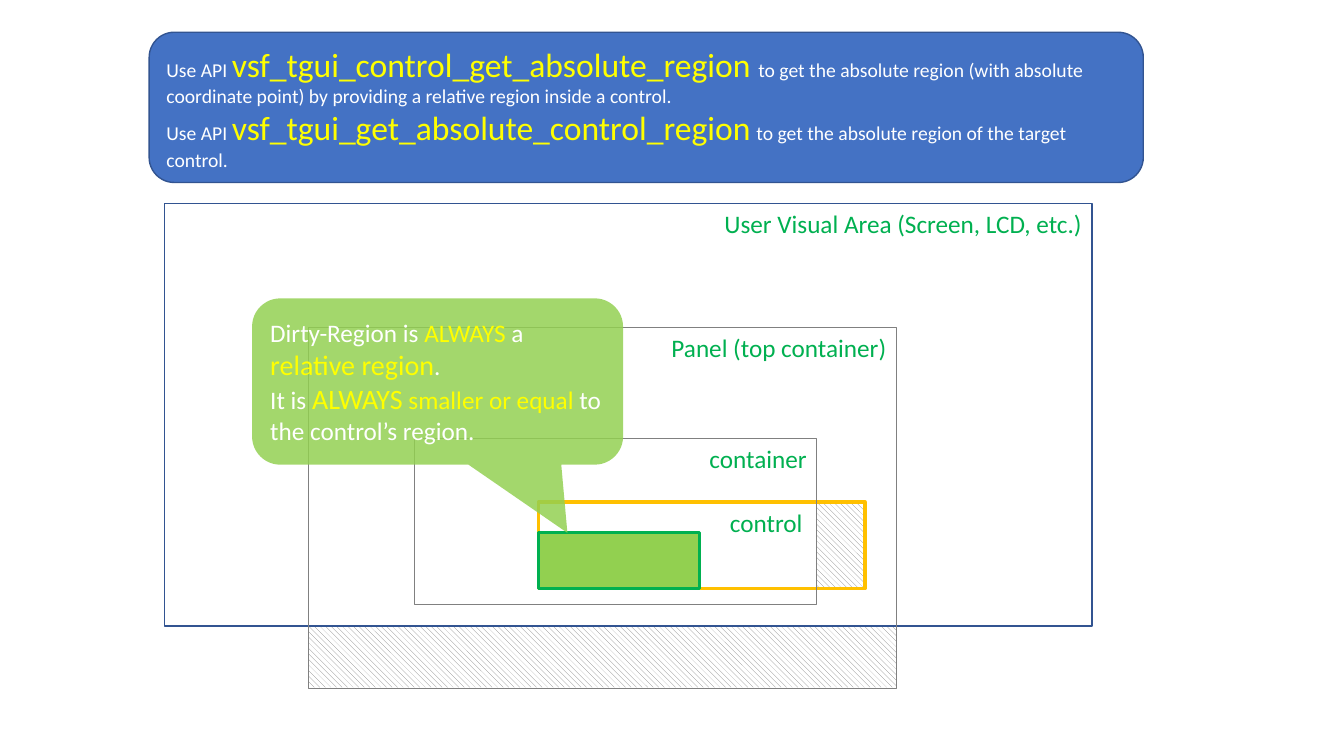
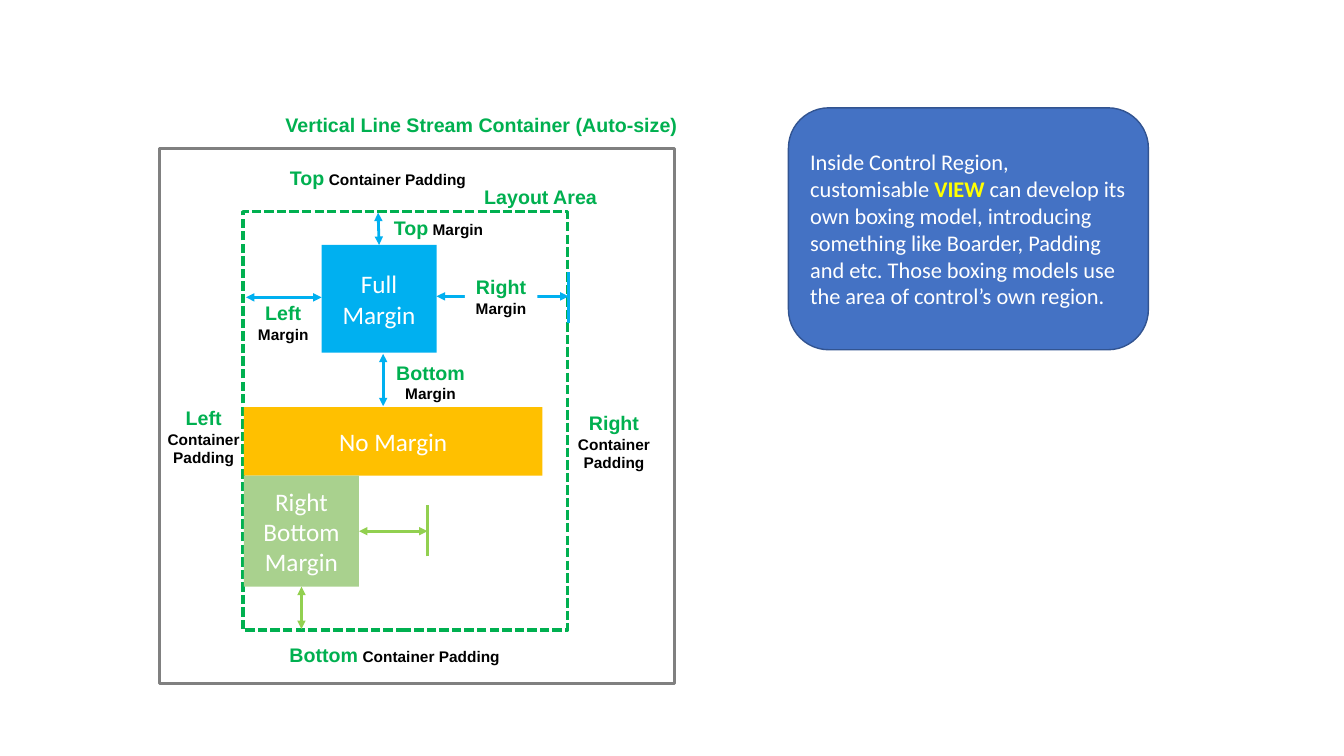
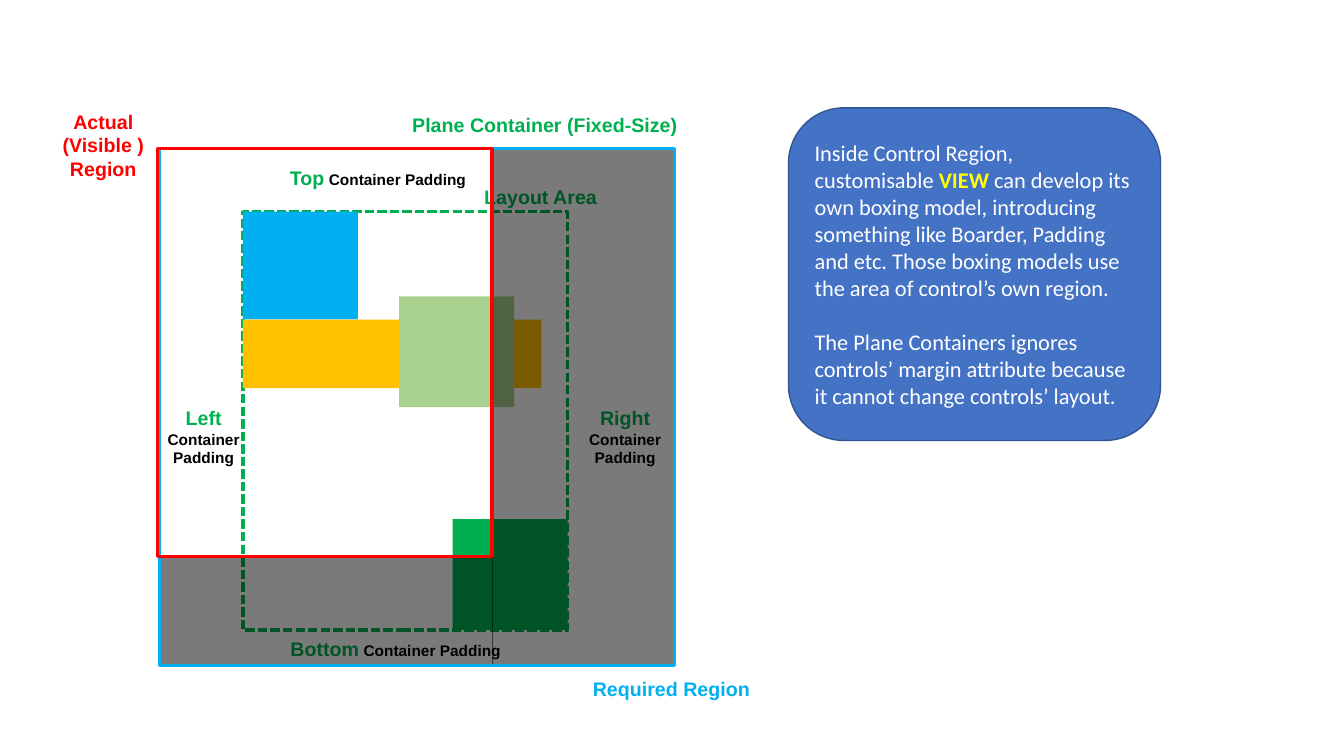
"""Build three slides on control regions, container padding and margins."""
from lxml.etree import SubElement
from pptx import Presentation
from pptx.dml.color import RGBColor
from pptx.enum.dml import MSO_LINE, MSO_PATTERN
from pptx.enum.shapes import MSO_CONNECTOR, MSO_SHAPE
from pptx.enum.text import MSO_ANCHOR, MSO_AUTO_SIZE, PP_ALIGN
from pptx.oxml.ns import qn
from pptx.util import Inches, Pt

WHITE = RGBColor(0xFF, 0xFF, 0xFF)
BLACK = RGBColor(0x00, 0x00, 0x00)
GRAY = RGBColor(0x80, 0x80, 0x80)
GREEN = RGBColor(0x00, 0xB0, 0x50)
LIME = RGBColor(0x92, 0xD0, 0x50)
SAGE = RGBColor(0xA9, 0xD1, 0x8E)
SKY = RGBColor(0x00, 0xB0, 0xF0)
GOLD = RGBColor(0xFF, 0xC0, 0x00)
YELLOW = RGBColor(0xFF, 0xFF, 0x00)
RED = RGBColor(0xFF, 0x00, 0x00)
BLUE = RGBColor(0x44, 0x72, 0xC4)
NAVY = RGBColor(0x32, 0x54, 0x91)
BODY_FONT, LABEL_FONT = "Calibri", "Arial"
LEFT, CENTER, RIGHT = PP_ALIGN.LEFT, PP_ALIGN.CENTER, PP_ALIGN.RIGHT

API_NOTE = [
    [("Use API ", 14, WHITE), ("vsf_tgui_control_get_absolute_region ", 24, YELLOW),
     ("to get the absolute region (with absolute coordinate point) by providing "
      "a relative region inside a control.", 14, WHITE)],
    [("Use API ", 14, WHITE), ("vsf_tgui_get_absolute_control_region", 24, YELLOW),
     (" ", 18, WHITE),
     ("to get the absolute region of the target control.", 14, WHITE)],
]
DIRTY_NOTE = [
    [("Dirty-Region is ", 18, WHITE), ("ALWAYS", 18, YELLOW), (" a ", 18, WHITE),
     ("relative region", 20, YELLOW), (".", 18, WHITE)],
    [("It is ", 18, WHITE), ("ALWAYS", 20, YELLOW), (" ", 18, WHITE),
     ("smaller or equal ", 18, YELLOW), ("to the control’s region.", 18, WHITE)],
]
VIEW_NOTE = [
    [("Inside Control Region, customisable ", 16, WHITE), ("VIEW", 16, YELLOW, True),
     (" can develop its own boxing model, introducing something like Boarder, "
      "Padding and etc. Those boxing models use the area of control’s own region.",
      16, WHITE)],
]
PLANE_NOTE = [
    [("The Plane Containers ignores controls’ margin attribute because it cannot "
      "change controls’ layout.", 16, WHITE)],
]

CLIPPED_AREAS = [(8.1, 4.98, 0.48, 0.86), (3.06, 6.21, 5.83, 0.61)]
REGIONS = [
    ("User Visual Area (Screen, LCD, etc.)", (1.63, 2.02, 9.2, 4.19), NAVY, 1, 0.1),
    ("control", (5.34, 4.98, 3.24, 0.86), GOLD, 2.25, 0.62),
    ("Panel (top container)", (3.06, 3.25, 5.83, 3.58), GRAY, 1, 0.1),
    ("container", (4.11, 4.35, 3.99, 1.65), GRAY, 1, 0.1),
]
LAYOUT_AREA = (2.41, 2.1, 3.22, 4.15)
PADDING = " Container Padding"
SHARED_LABELS = [
    ("Top", PADDING, (2.72, 1.6, 2.06, 0.34)),
    ("Left", PADDING, (1.56, 3.98, 0.92, 0.71)),
]
MARGIN_LABELS = [
    ("Top", " Margin", (3.78, 2.09, 1.14, 0.34)),
    ("Bottom", " Margin", (3.7, 3.53, 1.14, 0.52)),
    ("Left", " Margin", (2.43, 2.94, 0.76, 0.52)),
]
STREAM_CONTROLS = [
    ("Full Margin", (3.19, 2.43, 1.14, 1.07), SKY),
    ("No Margin", (2.42, 4.04, 2.96, 0.68), GOLD),
    ("Right Bottom Margin", (2.42, 4.72, 1.14, 1.1), SAGE),
]
MARGIN_ARROWS = [
    ((2.44, 2.95), (3.19, 2.95), SKY),
    ((4.33, 2.94), (5.64, 2.94), SKY),
    ((3.75, 2.11), (3.76, 2.43), SKY),
    ((3.8, 3.51), (3.8, 4.03), SKY),
    ((3.56, 5.27), (4.24, 5.27), LIME),
    ((2.99, 5.82), (2.99, 6.24), LIME),
]
MARGIN_STOPS = [((5.64, 3.2), (5.64, 2.7), SKY), ((4.24, 5.52), (4.24, 5.01), LIME)]
PLANE_CONTROLS = [
    ((2.41, 2.1, 1.14, 1.07), SKY),
    ((2.41, 3.17, 2.96, 0.68), GOLD),
    ((3.96, 2.94, 1.14, 1.1), SAGE),
    ((4.49, 5.15, 1.14, 1.1), GREEN),
]
HIDDEN_AREAS = [(4.88, 1.48, 1.81, 5.12), (1.57, 5.53, 3.32, 1.06)]


def write(box, paragraphs, font=BODY_FONT, align=LEFT, anchor=MSO_ANCHOR.TOP, gap=0):
    """Fill a shape with paragraphs made of (text, size, colour, bold) spans."""
    frame = box.text_frame
    frame.word_wrap = True
    frame.vertical_anchor = anchor
    for index, spans in enumerate(paragraphs):
        para = frame.add_paragraph() if index else frame.paragraphs[0]
        para.alignment = align
        if index and gap:
            para.space_before = Pt(gap)
        for text, size, color, *bold in spans:
            span = para.add_run()
            span.text = text
            span.font.name = font
            span.font.size = Pt(size)
            span.font.color.rgb = color
            span.font.bold = bool(bold)


def add_box(page, bounds, kind=MSO_SHAPE.RECTANGLE, fill=None, opacity=None,
            line=None, weight=2.25):
    """Add a preset shape without shadow."""
    box = page.shapes.add_shape(kind, *map(Inches, bounds))
    box.shadow.inherit = False
    if fill is None:
        box.fill.background()
    else:
        box.fill.solid()
        box.fill.fore_color.rgb = fill
    if opacity:
        color = box._element.spPr.find(qn("a:solidFill"))[0]
        SubElement(color, qn("a:alpha"), val=str(opacity * 1000))
    if line is None:
        box.line.fill.background()
    else:
        box.line.color.rgb = line
        box.line.width = Pt(weight)
    return box


def add_note(page, bounds, paragraphs, gap=0):
    """Add a blue rounded explanation."""
    box = add_box(page, bounds, MSO_SHAPE.FLOWCHART_ALTERNATE_PROCESS,
                  fill=BLUE, line=NAVY, weight=1)
    write(box, paragraphs, anchor=MSO_ANCHOR.MIDDLE, gap=gap)


def add_label(page, strong, detail, bounds, color=GREEN, align=CENTER, fill=None):
    """Add a bold label with an optional smaller black part."""
    box = page.shapes.add_textbox(*map(Inches, bounds))
    spans = [(strong, 14, color, True)]
    if detail:
        spans.append((detail, 11, BLACK, True))
    write(box, [spans], font=LABEL_FONT, align=align)
    box.text_frame.auto_size = MSO_AUTO_SIZE.SHAPE_TO_FIT_TEXT
    if fill is not None:
        box.fill.solid()
        box.fill.fore_color.rgb = fill


def add_line(page, start, end, color, weight, arrows=False):
    """Add a straight line, with arrowheads at both ends if asked."""
    line = page.shapes.add_connector(MSO_CONNECTOR.STRAIGHT, *map(Inches, start + end))
    line.line.color.rgb = color
    line.line.width = Pt(weight)
    if arrows:
        for tag in ("a:headEnd", "a:tailEnd"):
            SubElement(line.line._get_or_add_ln(), qn(tag), type="triangle")
    SubElement(line._element.spPr, qn("a:effectLst"))


def add_container(page, title, bottom, right):
    """Add the dashed layout area and the labels around it."""
    area = add_box(page, LAYOUT_AREA, line=GREEN)
    area.line.dash_style = MSO_LINE.SQUARE_DOT
    for label in SHARED_LABELS:
        add_label(page, *label)
    add_label(page, "Bottom", PADDING, bottom)
    add_label(page, "Right", PADDING, right)
    add_label(page, title, "", (2.16, 1.07, 4.66, 0.34), align=RIGHT)
    add_label(page, "Layout Area", "", (4.43, 1.79, 1.59, 0.34), align=RIGHT)


def build_regions(page):
    """Draw nested regions and the dirty region."""
    for bounds in CLIPPED_AREAS:
        hatch = add_box(page, bounds)
        hatch.fill.patterned()
        hatch.fill.pattern = MSO_PATTERN.WIDE_DOWNWARD_DIAGONAL
        hatch.fill.fore_color.rgb = GRAY
        hatch.fill.back_color.rgb = WHITE
    for name, bounds, line, weight, inset in REGIONS:
        region = add_box(page, bounds, line=line, weight=weight)
        write(region, [[(name, 18, GREEN)]], align=RIGHT)
        region.text_frame.margin_right = Inches(inset)
    add_box(page, (5.34, 5.28, 1.6, 0.56), fill=LIME, line=GREEN)
    callout = add_box(page, (2.5, 2.96, 3.68, 1.65),
                      MSO_SHAPE.ROUNDED_RECTANGULAR_CALLOUT, fill=LIME, opacity=84)
    for index, value in enumerate((0.35, 0.91, 0.17)):
        callout.adjustments[index] = value
    write(callout, DIRTY_NOTE, anchor=MSO_ANCHOR.MIDDLE)
    add_note(page, (1.48, 0.32, 9.86, 1.49), API_NOTE)


def build_stream(page):
    """Draw the auto-sized container with its margins."""
    add_note(page, (7.82, 1.07, 3.57, 2.4), VIEW_NOTE)
    add_box(page, (1.58, 1.47, 5.11, 5.31), line=GRAY)
    add_container(page, "Vertical Line Stream Container (Auto-size)",
                  bottom=(2.74, 6.33, 2.35, 0.34), right=(5.63, 4.03, 0.92, 0.71))
    for name, bounds, fill in STREAM_CONTROLS:
        control = add_box(page, bounds, fill=fill)
        write(control, [[(name, 18, WHITE)]], align=CENTER, anchor=MSO_ANCHOR.MIDDLE)
    for label in MARGIN_LABELS:
        add_label(page, *label)
    for arrow in MARGIN_ARROWS:
        add_line(page, *arrow, 2, arrows=True)
    for stop in MARGIN_STOPS:
        add_line(page, *stop, 2.25)
    add_label(page, "Right", " Margin", (4.61, 2.68, 0.72, 0.52), fill=WHITE)


def build_plane(page):
    """Draw the fixed-size container and its visible part."""
    add_note(page, (7.82, 1.07, 3.69, 3.3), VIEW_NOTE + PLANE_NOTE, gap=19.5)
    add_container(page, "Plane Container (Fixed-Size)",
                  bottom=(2.75, 6.27, 2.35, 0.34), right=(5.74, 3.98, 0.92, 0.71))
    for bounds, fill in PLANE_CONTROLS:
        add_box(page, bounds, fill=fill)
    for bounds in HIDDEN_AREAS:
        add_box(page, bounds, fill=BLACK, opacity=52)
    add_box(page, (1.58, 1.47, 5.11, 5.13), line=SKY)
    add_box(page, (1.56, 1.47, 3.32, 4.05), line=RED)
    add_label(page, "Actual (Visible )Region", "", (0.51, 1.04, 1.03, 0.81), color=RED)
    add_label(page, "Required Region", "", (5.63, 6.67, 2.06, 0.34), color=SKY)


deck = Presentation()
deck.slide_width, deck.slide_height = Inches(13.33), Inches(7.5)
for build in (build_regions, build_stream, build_plane):
    build(deck.slides.add_slide(deck.slide_layouts[6]))
deck.save("out.pptx")
